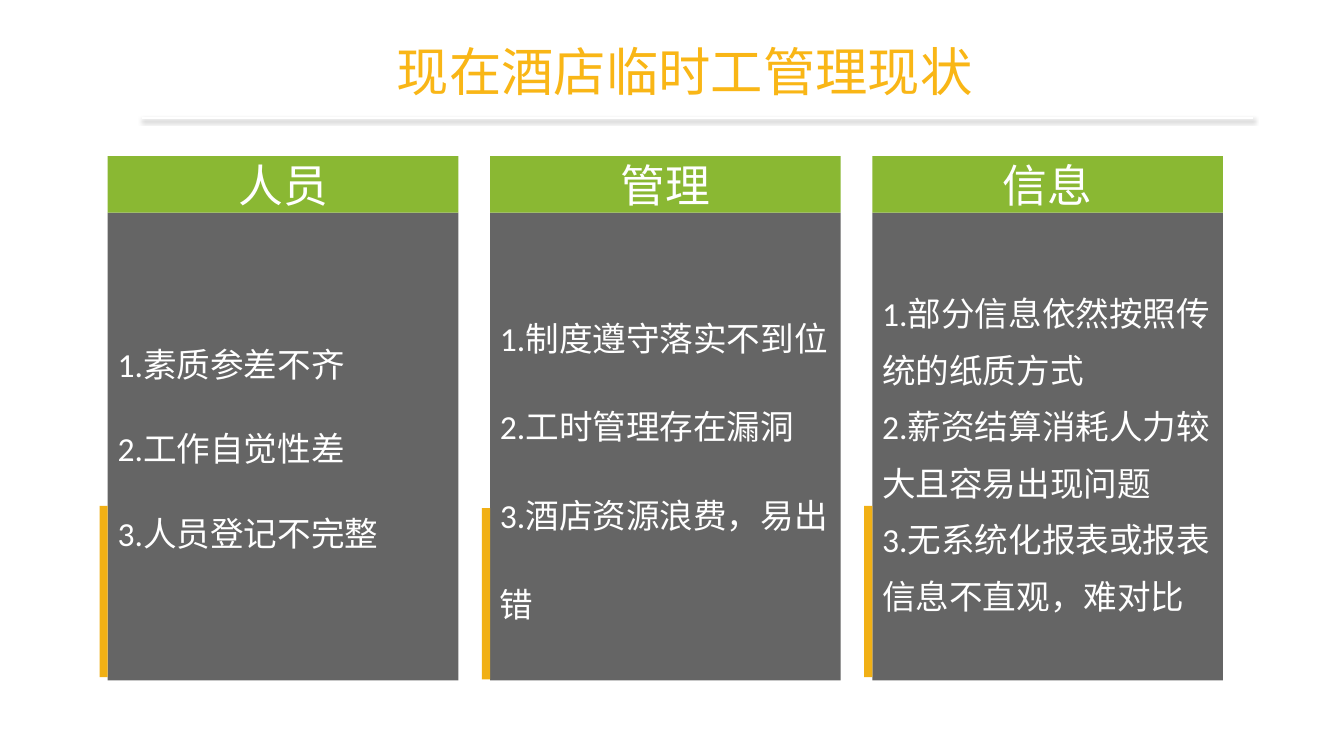
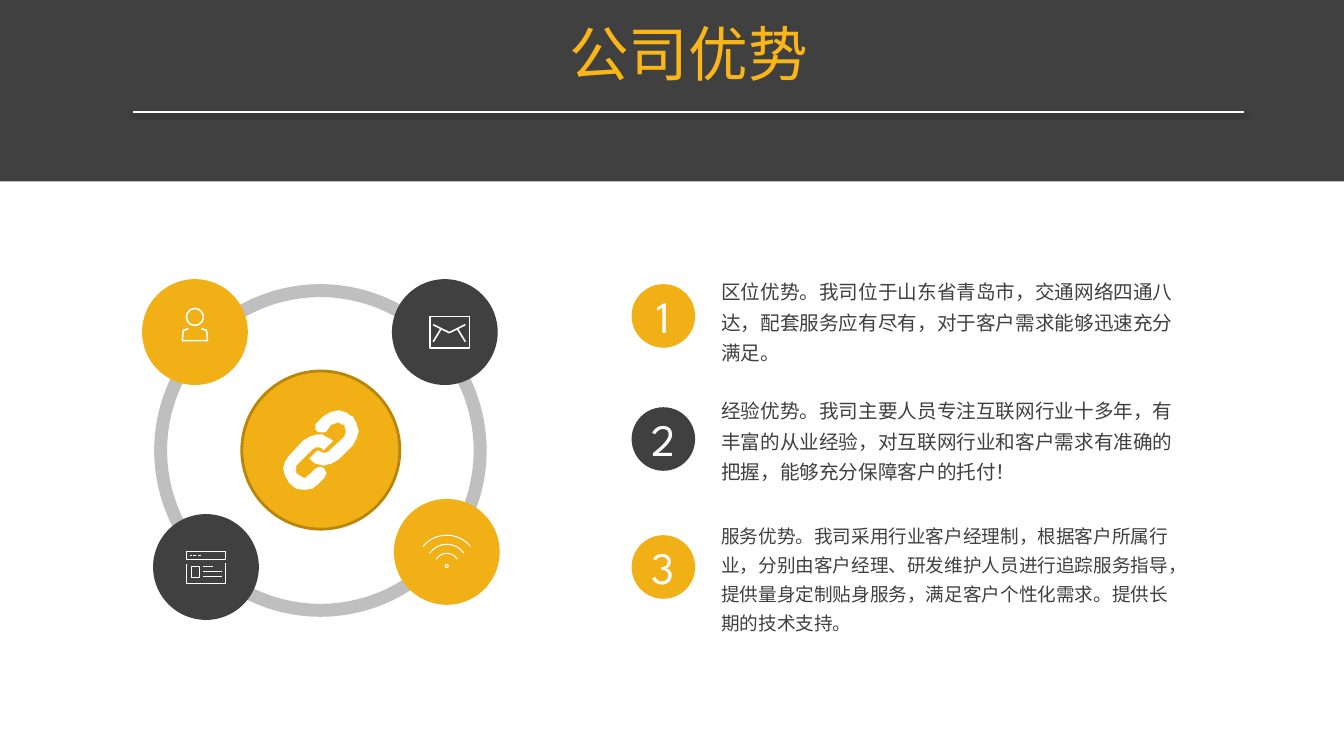
"""Build two slides on hotel temporary-staff management and company strengths."""
import math
from dataclasses import dataclass
from typing import Any, Optional

from lxml import etree
from pptx import Presentation
from pptx import util as u
from pptx.dml.color import RGBColor
from pptx.enum import shapes, text
from pptx.oxml import ns

Point = tuple[float, float]
Box = tuple[float, float, float, float]


@dataclass(frozen=True)
class Theme:
    amber: str = "F1B015"
    title: str = "F9B616"
    green: str = "8AB833"
    dark: str = "404040"
    panel: str = "1D1D1D"
    ring: str = "BFBFBF"
    hub_edge: str = "B9860B"
    white: str = "FFFFFF"
    panel_alpha: int = 68
    heading_size: float = 32
    item_size: float = 24
    body_size: float = 14
    line_ratio: float = 1.2
    latin: str = "Calibri"
    display: str = "League Spartan"
    cjk: str = "Noto Sans CJK SC"


THEME = Theme()
PP = text.PP_ALIGN
OVAL = shapes.MSO_SHAPE.OVAL
RECT = shapes.MSO_SHAPE.RECTANGLE


@dataclass(frozen=True)
class TextStyle:
    size: float
    color: str
    font: str
    align: Any = PP.LEFT
    spacing: Optional[float] = None


@dataclass(frozen=True)
class Header:
    wording: str
    box: Box
    style: TextStyle
    rule_left: float
    rule_top: float


@dataclass(frozen=True)
class Column:
    heading: str
    items: tuple[str, ...]
    spacing: float
    accent_top: float
    bottom_inset: float = 3.6


@dataclass(frozen=True)
class Strength:
    wording: str
    badge_top: float
    text_top: float
    height: float
    size: float
    color: str


@dataclass(frozen=True)
class Icon:
    origin: Point
    weight: float
    ovals: tuple[Box, ...] = ()
    boxes: tuple[Box, ...] = ()
    strokes: tuple[Box, ...] = ()
    outlines: tuple[tuple[Point, ...], ...] = ()


def rgb(color: str) -> RGBColor:
    return RGBColor.from_string(color)


def assign(target: Any, values: dict[str, Any]) -> None:
    for key, value in values.items():
        setattr(target, key, value)


def paint(shape: Any, fill: Optional[str] = None, line: Optional[str] = None, weight: float = 1) -> None:
    shape.shadow.inherit = False
    if fill:
        shape.fill.solid()
        shape.fill.fore_color.rgb = rgb(fill)
    else:
        shape.fill.background()
    if line:
        shape.line.color.rgb = rgb(line)
        shape.line.width = u.Pt(weight)
    else:
        shape.line.fill.background()


def add_block(parent: Any, kind: Any, box: Box, fill: Optional[str] = None,
              line: Optional[str] = None, weight: float = 1) -> Any:
    block = parent.add_shape(kind, *map(u.Pt, box))
    paint(block, fill, line, weight)
    return block


def add_stroke(parent: Any, start: Point, end: Point, weight: float) -> Any:
    stroke = parent.add_connector(shapes.MSO_CONNECTOR.STRAIGHT, *map(u.Pt, start + end))
    stroke.line.color.rgb = rgb(THEME.white)
    stroke.line.width = u.Pt(weight)
    return etree.SubElement(stroke._element.spPr, ns.qn("a:effectLst"))


def add_outline(parent: Any, origin: Point, contours: tuple[tuple[Point, ...], ...], closed: bool) -> Any:
    scaled = [[(x * 100, y * 100) for x, y in contour] for contour in contours]
    builder = parent.build_freeform(*scaled[0][0], scale=u.Pt(0.01))
    builder.add_line_segments(scaled[0][1:], close=closed)
    for contour in scaled[1:]:
        builder.move_to(*contour[0])
        builder.add_line_segments(contour[1:], close=closed)
    return builder.convert_to_shape(*map(u.Pt, origin))


def write(frame: Any, lines: tuple[str, ...], style: TextStyle, **frame_format: Any) -> None:
    assign(frame, {"word_wrap": True, **frame_format})
    for index, wording in enumerate(lines):
        paragraph = frame.add_paragraph() if index else frame.paragraphs[0]
        paragraph.alignment = style.align
        if style.spacing:
            paragraph.line_spacing = u.Pt(style.size * THEME.line_ratio * style.spacing)
        run = paragraph.add_run()
        run.text = wording
        run.font.color.rgb = rgb(style.color)
        assign(run.font, {"size": u.Pt(style.size), "name": style.font})
        east_asian = etree.SubElement(run._r.get_or_add_rPr(), ns.qn("a:ea"))
        east_asian.set("typeface", THEME.cjk)


def add_text(slide: Any, box: Box, wording: str, style: TextStyle) -> None:
    frame = slide.shapes.add_textbox(*map(u.Pt, box)).text_frame
    write(frame, (wording,), style, auto_size=text.MSO_AUTO_SIZE.SHAPE_TO_FIT_TEXT)


def add_header(slide: Any, header: Header) -> None:
    add_text(slide, header.box, header.wording, header.style)
    left, top = header.rule_left, header.rule_top
    effects = add_stroke(slide.shapes, (left, top), (left + 794.2, top), 1)
    shadow = etree.SubElement(effects, ns.qn("a:outerShdw"), {
        "blurRad": str(u.Pt(3.1)), "dist": str(u.Pt(1.6)), "dir": "5400000", "rotWithShape": "0"})
    tone = etree.SubElement(shadow, ns.qn("a:srgbClr"), val="000000")
    etree.SubElement(tone, ns.qn("a:alpha"), val="38000")


def add_column(slide: Any, column: Column, left: float) -> None:
    width, heading_top, panel_top = 250.6, 111.6, 151.9
    middle = text.MSO_ANCHOR.MIDDLE
    panel = add_block(slide.shapes, RECT, (left, panel_top, width, 334.1), THEME.panel)
    tone = panel._element.spPr.find(".//" + ns.qn("a:srgbClr"))
    etree.SubElement(tone, ns.qn("a:alpha"), val=str(THEME.panel_alpha * 1000))
    write(panel.text_frame, column.items,
          TextStyle(THEME.item_size, THEME.white, THEME.latin, spacing=column.spacing),
          vertical_anchor=middle, margin_bottom=u.Pt(column.bottom_inset))
    add_block(slide.shapes, RECT, (left - 5.8, column.accent_top, 5.8, 122.4), THEME.amber)
    heading = add_block(slide.shapes, RECT, (left, heading_top, width, panel_top - heading_top), THEME.green)
    write(heading.text_frame, (column.heading,),
          TextStyle(THEME.heading_size, THEME.white, THEME.latin, PP.CENTER), vertical_anchor=middle)


def add_strength(slide: Any, number: int, strength: Strength) -> None:
    badge = add_block(slide.shapes, OVAL, (451.4, strength.badge_top, 45.4, 45.4), strength.color)
    write(badge.text_frame, (str(number),),
          TextStyle(THEME.heading_size, THEME.white, THEME.display, PP.CENTER),
          vertical_anchor=text.MSO_ANCHOR.MIDDLE)
    add_text(slide, (508.3, strength.text_top, 344.9, strength.height), strength.wording,
             TextStyle(strength.size, THEME.dark, THEME.cjk, spacing=1.3))


def add_icon(slide: Any, icon: Icon) -> None:
    group = slide.shapes.add_group_shape().shapes
    left, top = icon.origin
    for kind, parts in ((OVAL, icon.ovals), (RECT, icon.boxes)):
        for x, y, width, height in parts:
            add_block(group, kind, (left + x, top + y, width, height), None, THEME.white, icon.weight)
    for x1, y1, x2, y2 in icon.strokes:
        add_stroke(group, (left + x1, top + y1), (left + x2, top + y2), icon.weight)
    for outline in icon.outlines:
        paint(add_outline(group, icon.origin, (outline,), False), None, THEME.white, icon.weight)


def wave(center: float, half: float, top: float, rise: float) -> tuple[Point, ...]:
    radius = (half ** 2 + rise ** 2) / (2 * rise)
    sweep = math.asin(half / radius)
    angles = [sweep * step / 12 for step in range(-12, 13)]
    return tuple((center + radius * math.sin(a), top + radius * (1 - math.cos(a))) for a in angles)


COLUMNS = (
    Column("人员", ("1.素质参差不齐", "2.工作自觉性差", "3.人员登记不完整"), 2.1, 361.4, 32.4),
    Column("管理", ("1.制度遵守落实不到位", "2.工时管理存在漏洞", "3.酒店资源浪费，易出错"), 2.2, 362.9),
    Column("信息", ("1.部分信息依然按照传统的纸质方式", "2.薪资结算消耗人力较大且容易出现问题",
                  "3.无系统化报表或报表信息不直观，难对比"), 1.4, 361.4),
)
STRENGTHS = (
    Strength("区位优势。我司位于山东省青岛市，交通网络四通八达，配套服务应有尽有，对于客户需求能够迅速充分满足。",
             203, 191.5, 73.4, THEME.body_size, THEME.amber),
    Strength("经验优势。我司主要人员专注互联网行业十多年，有丰富的从业经验，对互联网行业和客户需求有准确的把握，"
             "能够充分保障客户的托付！", 290.9, 276.5, 73.4, THEME.body_size, THEME.dark),
    Strength("服务优势。我司采用行业客户经理制，根据客户所属行业，分别由客户经理、研发维护人员进行追踪服务指导，"
             "提供量身定制贴身服务，满足客户个性化需求。提供长期的技术支持。",
             382.3, 366.5, 91.4, 13.3, THEME.amber),
)
STATUS_HEADER = Header("现在酒店临时工管理现状", (201.6, 24.5, 576, 52.6),
                       TextStyle(37.4, THEME.title, THEME.display, PP.CENTER, 1), 101.5, 84.2)
STRENGTH_HEADER = Header("公司优势", (154.1, 8.6, 676.1, 59),
                         TextStyle(42.6, THEME.title, THEME.cjk, PP.CENTER, 1), 95, 79.9)
SATELLITES = (
    (101.5, 199.4, THEME.amber), (280.1, 199.4, THEME.dark),
    (281.5, 356.4, THEME.amber), (109.4, 367.2, THEME.dark),
)
ICONS = (
    Icon((130.3, 220.3), 1.13, ovals=((2.9, 0, 12.2, 12.2),),
         outlines=(((13.7, 14.4), (17.3, 15.8), (18, 23), (0, 23), (0.7, 15.8), (4.3, 14.4)),)),
    Icon((307.4, 226.1), 1.13, boxes=((0, 0, 28.1, 22.3),),
         strokes=((2.2, 18, 7.9, 8.6), (25.2, 18, 19.4, 8.6)),
         outlines=(((25.2, 5.8), (13.7, 11.5), (2.2, 5.8)),)),
    Icon((133.2, 393.8), 1.13, boxes=((3.6, 10.8, 5.8, 7.9), (0, 0, 28.1, 5.8)),
         strokes=((28.1, 0, 0, 0), (0, 23, 28.1, 23), (2.9, 2.9, 4.3, 2.9), (5, 2.9, 7.2, 2.9),
                  (8.6, 2.9, 10.1, 2.9), (12.2, 10.8, 18.7, 10.8), (12.2, 14.4, 25.2, 14.4),
                  (12.2, 18, 25.2, 18)),
         outlines=(((28.1, 8.6), (28.1, 23), (0, 23), (0, 9.4)),)),
    Icon((302.4, 382.3), 0.75, ovals=((15.8, 20.9, 2.2, 2.2),),
         outlines=(wave(16.9, 16.9, 0, 7.9), wave(16.9, 12.2, 6.5, 6.5), wave(16.9, 7.6, 13, 4.3))),
)
CHAIN_CELL = 0.72
CHAIN_LINKS = (
    ((34, 24), (39, 24), (42, 26), (46, 28), (48, 29), (48, 30), (50, 30), (40, 40), (39, 39), (39, 38),
     (36, 37), (34, 37), (32, 37), (31, 38), (29, 39), (15, 53), (13, 55), (13, 62), (15, 64), (17, 65),
     (20, 67), (23, 67), (24, 65), (26, 64), (32, 58), (34, 57), (37, 56), (39, 57), (41, 58), (42, 60),
     (43, 62), (42, 65), (41, 67), (35, 73), (29, 78), (21, 79), (13, 78), (7, 73), (6, 72), (2, 65),
     (0, 58), (2, 51), (6, 45), (20, 30), (27, 26)),
    ((55, 0), (62, 2), (68, 6), (69, 6), (73, 13), (75, 21), (73, 28), (69, 35), (55, 49), (48, 53),
     (40, 55), (32, 53), (27, 49), (26, 48), (34, 40), (35, 40), (37, 41), (39, 42), (43, 42), (45, 41),
     (46, 40), (61, 26), (61, 24), (62, 23), (62, 19), (61, 17), (61, 15), (59, 14), (58, 14), (56, 13),
     (55, 12), (52, 13), (50, 14), (48, 14), (43, 21), (41, 22), (36, 22), (34, 21), (32, 19), (32, 14),
     (34, 12), (40, 6), (47, 2)),
)


def build_status(slide: Any) -> None:
    for index, column in enumerate(COLUMNS):
        add_column(slide, column, 77 + index * 273.2)
    add_header(slide, STATUS_HEADER)


def build_strengths(slide: Any) -> None:
    ring = add_block(slide.shapes, shapes.MSO_SHAPE.DONUT, (110.2, 203, 237.6, 237.6), THEME.ring)
    ring.adjustments[0] = 0.039
    for left, top, color in SATELLITES:
        add_block(slide.shapes, OVAL, (left, top, 75.6, 75.6), color)
    add_block(slide.shapes, OVAL, (172.8, 265, 113, 113), THEME.amber, THEME.hub_edge, 2)
    links = tuple(tuple((x * CHAIN_CELL, y * CHAIN_CELL) for x, y in link) for link in CHAIN_LINKS)
    paint(add_outline(slide.shapes, (202.3, 293), links, True), THEME.white)
    for icon in ICONS:
        add_icon(slide, icon)
    for number, strength in enumerate(STRENGTHS, 1):
        add_strength(slide, number, strength)
    add_block(slide.shapes, RECT, (0, 0, 960.5, 129.6), THEME.dark)
    add_header(slide, STRENGTH_HEADER)


def main() -> None:
    deck = Presentation()
    assign(deck, {"slide_width": u.Pt(960.5), "slide_height": u.Pt(540)})
    for build in (build_status, build_strengths):
        build(deck.slides.add_slide(deck.slide_layouts[6]))
    deck.save("out.pptx")


if __name__ == "__main__":
    main()
